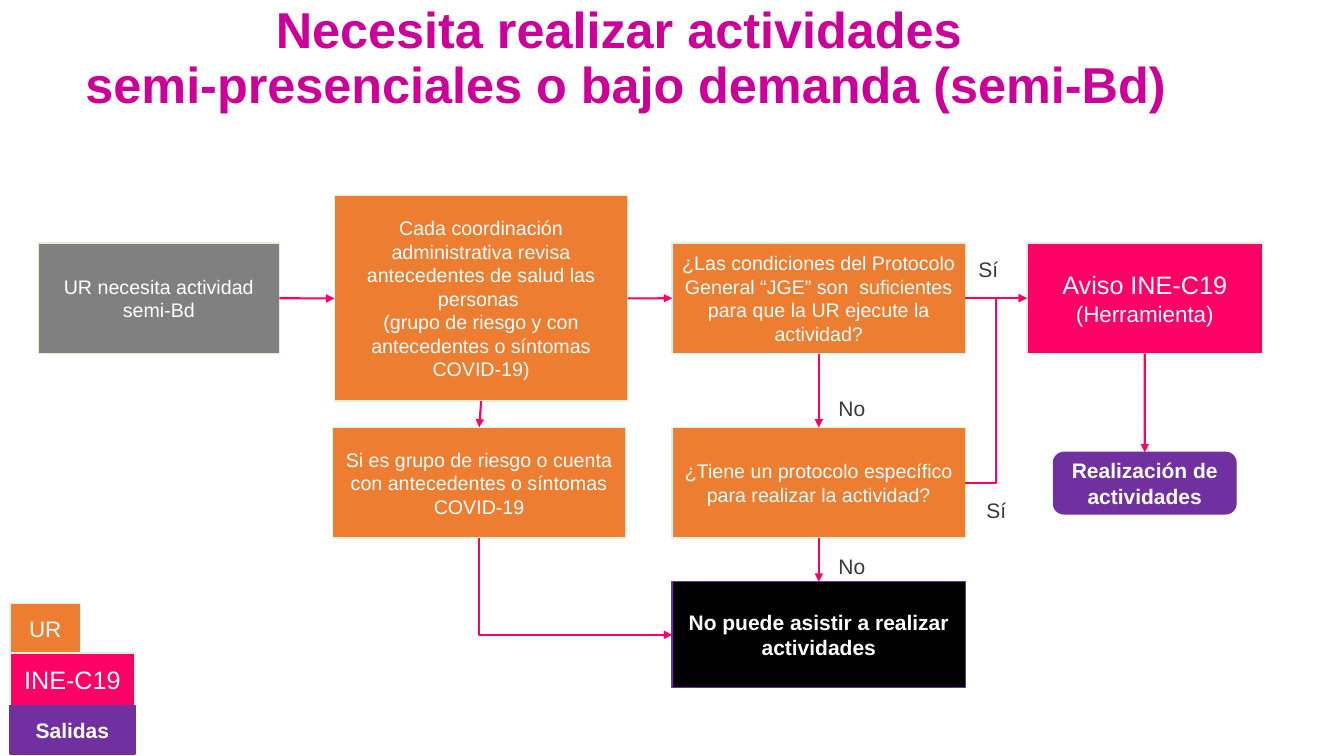
import pptx
import pptx.util
import pptx.dml.color
import pptx.enum.shapes
import pptx.enum.text
import pptx.oxml
import pptx.oxml.ns
from pptx.util import Cm

COLORS = {
    "title": "CC0099", "gray": "808080", "orange": "ED7D31", "pink": "FF0066",
    "purple": "7030A0", "black": "000000", "white": "FFFFFF",
    "pale": "E2F0D9", "label": "3B3838",
}
CENTER = pptx.enum.text.PP_ALIGN.CENTER
LEFT = pptx.enum.text.PP_ALIGN.LEFT
MIDDLE = pptx.enum.text.MSO_ANCHOR.MIDDLE
TOP = pptx.enum.text.MSO_ANCHOR.TOP
RECT = pptx.enum.shapes.MSO_SHAPE.RECTANGLE
ROUNDED = pptx.enum.shapes.MSO_SHAPE.ROUNDED_RECTANGLE
STRAIGHT = pptx.enum.shapes.MSO_CONNECTOR.STRAIGHT
ELBOW = pptx.enum.shapes.MSO_CONNECTOR.ELBOW


def rgb(name):
    return pptx.dml.color.RGBColor.from_string(COLORS[name])


def write(shape, text, sizes=(14,), color="white", bold=False, align=CENTER,
          anchor=MIDDLE, spacing=None):
    """Put one paragraph per line; the last size serves any further lines."""
    frame = shape.text_frame
    frame.word_wrap = True
    frame.vertical_anchor = anchor
    frame.text = text
    for i, paragraph in enumerate(frame.paragraphs):
        paragraph.alignment = align
        paragraph.space_before = pptx.util.Pt(0)
        if spacing:
            paragraph.line_spacing = spacing
        font = paragraph.runs[0].font
        font.name = "Arial"
        font.size = pptx.util.Pt(sizes[min(i, len(sizes) - 1)])
        font.bold = bold
        font.color.rgb = rgb(color)


presentation = pptx.Presentation()
presentation.slide_width = Cm(33.87)
presentation.slide_height = Cm(19.05)
slide = presentation.slides.add_slide(presentation.slide_layouts[5])

# Title
title = slide.shapes.title
title.left, title.top, title.width, title.height = Cm(0), Cm(0), Cm(31.55), Cm(3.07)
write(title, "Necesita realizar actividades \nsemi-presenciales o bajo demanda (semi-Bd)",
      sizes=(36,), color="title", bold=True, anchor=TOP, spacing=0.9)
title.text_frame.auto_size = pptx.enum.text.MSO_AUTO_SIZE.NONE

# Steps and legend: key, place, corner radius, fill, line, text, format
STEP_W, STEP_H = 7.39, 2.79
ROW_1, ROW_2 = 6.12, 10.77
COLUMN_3 = 16.94
LEGEND_X, LEGEND_W = 0.25, 3.15
strong = {"sizes": (15,), "bold": True}
steps = [
    ("need", (0.97, ROW_1, 6.07, STEP_H), None, "gray", "pale",
     "UR necesita actividad semi-Bd", {}),
    ("review", (8.43, 4.93, STEP_W, 5.18), None, "orange", "pale",
     "Cada coordinación administrativa revisa antecedentes de salud las personas \n"
     "(grupo de riesgo y con antecedentes o síntomas COVID-19)", {}),
    ("conditions", (COLUMN_3, ROW_1, STEP_W, STEP_H), None, "orange", "pale",
     "¿Las condiciones del Protocolo General “JGE” son  suficientes "
     "para que la UR ejecute la actividad?", {}),
    ("notice", (25.88, ROW_1, 5.94, STEP_H), None, "pink", "pale",
     "Aviso INE-C19\n(Herramienta)", {"sizes": (18, 16)}),
    ("risk", (8.38, ROW_2, STEP_W, STEP_H), None, "orange", "pale",
     "Si es grupo de riesgo o cuenta con antecedentes o síntomas COVID-19", {}),
    ("protocol", (COLUMN_3, ROW_2, STEP_W, STEP_H), None, "orange", "pale",
     "¿Tiene un protocolo específico para realizar la actividad?", {}),
    ("activities", (26.55, 11.4, 4.6, 1.55), 0.17, "purple", "purple",
     "Realización de actividades", strong),
    ("refused", (COLUMN_3, 14.66, STEP_W, 2.67), None, "black", "purple",
     "No puede asistir a realizar actividades", strong),
    ("legend UR", (LEGEND_X, 15.21, 1.78, 1.24), None, "orange", "pale",
     "UR", {"sizes": (16,)}),
    ("legend INE", (LEGEND_X, 16.46, LEGEND_W, 1.32), None, "pink", "pale",
     "INE-C19", {"sizes": (18,)}),
    ("legend outputs", (LEGEND_X, 17.78, LEGEND_W, 1.22), 0, "purple", "purple",
     "Salidas", strong),
]
boxes = {}
for key, place, corner, fill, line, text, style in steps:
    box = slide.shapes.add_shape(RECT if corner is None else ROUNDED, *map(Cm, place))
    if corner is not None:
        box.adjustments[0] = corner
    box.shadow.inherit = False
    box.fill.solid()
    box.fill.fore_color.rgb = rgb(fill)
    box.line.color.rgb = rgb(line)
    box.line.width = pptx.util.Pt(1)
    write(box, text, **style)
    boxes[key] = box

# Arrows between sides: 0 top, 1 left, 2 bottom, 3 right
arrows = [
    ("need", 3, "review", 1, STRAIGHT),
    ("review", 3, "conditions", 1, STRAIGHT),
    ("review", 2, "risk", 0, STRAIGHT),
    ("conditions", 3, "notice", 1, ELBOW),
    ("conditions", 2, "protocol", 0, STRAIGHT),
    ("protocol", 3, "notice", 1, ELBOW),
    ("protocol", 2, "refused", 0, STRAIGHT),
    ("notice", 2, "activities", 0, STRAIGHT),
    ("risk", 2, "refused", 1, ELBOW),
]
for start, start_side, end, end_side, kind in arrows:
    arrow = slide.shapes.add_connector(kind, 0, 0, 0, 0)
    arrow.begin_connect(boxes[start], start_side)
    arrow.end_connect(boxes[end], end_side)
    arrow.line.color.rgb = rgb("pink")
    arrow.line.width = pptx.util.Pt(1.5)
    properties = arrow.line._get_or_add_ln()
    properties.append(pptx.oxml.parse_xml(
        '<a:tailEnd %s type="triangle"/>' % pptx.oxml.ns.nsdecls("a")))
    properties.addnext(pptx.oxml.parse_xml(
        "<a:effectLst %s/>" % pptx.oxml.ns.nsdecls("a")))
    if kind == ELBOW and start_side == 2:
        # One bend, down then right: a mirrored bentConnector2 turned by 270 degrees
        across, down = arrow.width, arrow.height
        shift = (across - down) // 2
        arrow.left, arrow.top = arrow.left + shift, arrow.top - shift
        arrow.width, arrow.height = down, across
        frame = arrow._element.spPr.find(pptx.oxml.ns.qn("a:xfrm"))
        frame.set("rot", "16200000")
        frame.set("flipH", "1")
        arrow._element.spPr.find(pptx.oxml.ns.qn("a:prstGeom")).set("prst", "bentConnector2")

# Answers beside the arrows
for text, left, top, width in [
    ("Sí", 24.41, 6.35, 1.3),
    ("No", 20.88, 9.83, 3.5),
    ("Sí", 24.61, 12.4, 1.57),
    ("No", 20.88, 13.82, 3.5),
]:
    answer = slide.shapes.add_textbox(Cm(left), Cm(top), Cm(width), Cm(0.89))
    write(answer, text, sizes=(15,), color="label", align=LEFT, anchor=TOP)

presentation.save("out.pptx")
